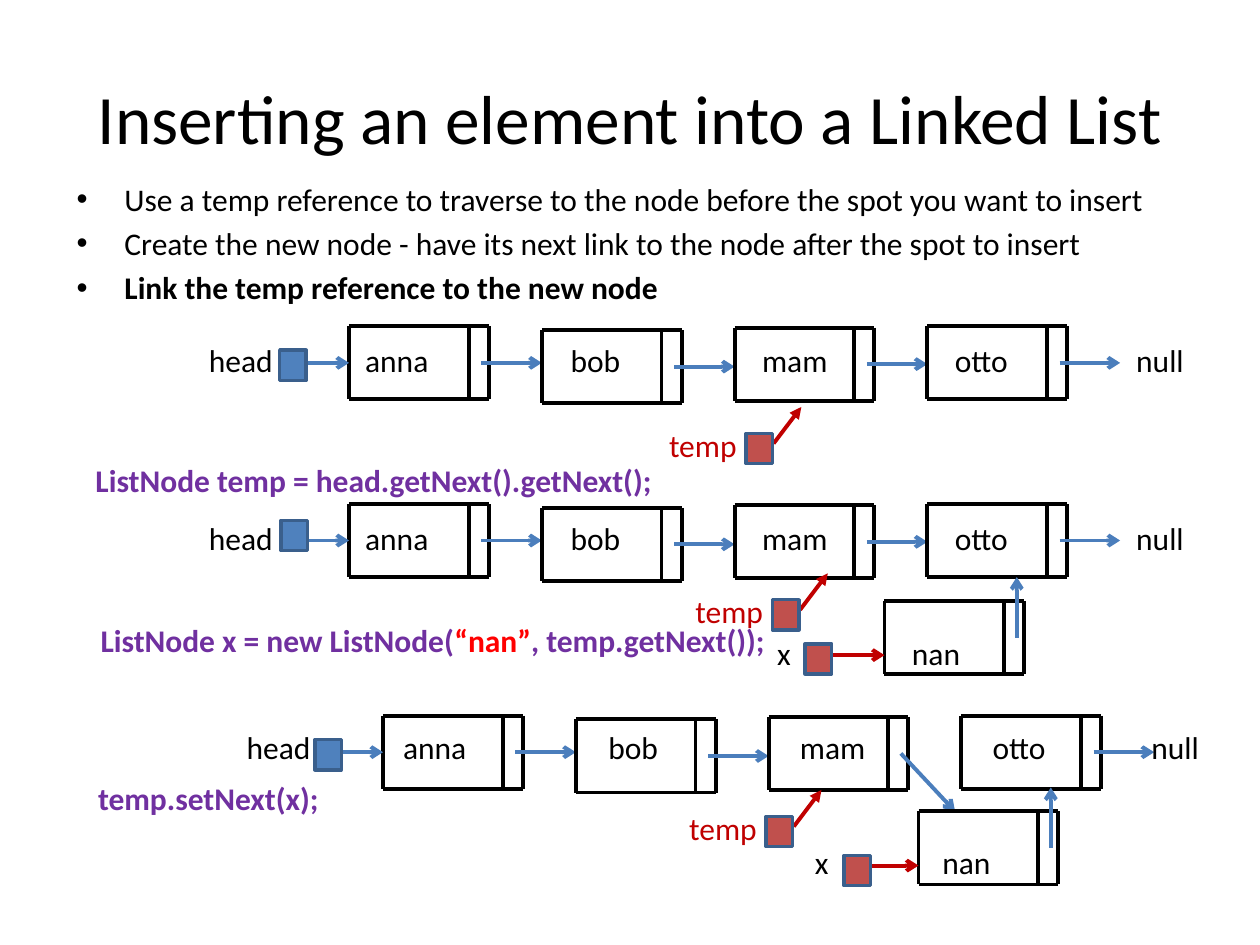
from lxml.etree import SubElement
from pptx import Presentation
from pptx.dml.color import RGBColor
from pptx.enum.shapes import MSO_CONNECTOR, MSO_SHAPE
from pptx.enum.text import MSO_ANCHOR, PP_ALIGN
from pptx.oxml.ns import qn
from pptx.util import Inches, Pt

COLORS = {
    "black": "000000", "link": "4B7EBC", "red": "C00000", "code": "7030A0",
    "string": "FF0000", "head": "4F81BD", "temp": "C0504D", "border": "3A5F8C",
}
COLORS = {name: RGBColor.from_string(value) for name, value in COLORS.items()}
FONT = "Calibri"

# List grid: node columns repeat at one pitch, each node has a value and a link cell
FIRST_LEFT, PITCH = 2.77, 1.53
NODE_WIDTH, NODE_HEIGHT, VALUE_WIDTH = 1.11, 0.58, 0.95
LINK_START, LINK_LENGTH = 1.05, 0.48
MIDDLE = NODE_HEIGHT / 2
SQUARE_WIDTH, SQUARE_HEIGHT = 0.21, 0.24
LABEL_HEIGHT = 0.4

NODE_DROPS = {"anna": 0, "bob": 0.03, "mam": 0.01, "otto": 0}
VALUE_TABS = [1.24, 2.87, 4.39, 5.92]

ROWS = [
    {"top": 2.59, "shift": 0, "head": (2.22, 2.78), "text": (1.56, 2.66, 8.36, 1.01),
     "null_tab": 7.36, "temp": (5.92, 3.44)},
    {"top": 4.00, "shift": 0, "head": (2.23, 4.13), "text": (1.56, 4.07, 8.36, 1.31),
     "null_tab": 7.36, "temp": (6.13, 4.76), "x": (6.39, 5.11), "nan": (7.02, 4.77),
     "nan_tabs": [4.51, 5.58]},
    {"top": 5.68, "shift": 0.27, "head": (2.50, 5.87), "text": (1.86, 5.73, 8.48, 1.31),
     "null_tab": 7.18, "temp": (6.08, 6.48), "x": (6.70, 6.79), "nan": (7.29, 6.44),
     "nan_tabs": [4.51, 5.52], "mam_link": (7.58, 6.44)},
]

CODE = [
    (0.66, 3.61, 4.66, [("ListNode temp = head.getNext().getNext();", "code")]),
    (0.70, 4.88, 5.50, [("ListNode x = new ListNode(", "code"), ("“nan”", "string"),
                        (", temp.getNext());", "code")]),
    (0.68, 6.13, 1.97, [("temp.setNext(x);", "code")]),
]

BULLETS = [
    "Use a temp reference to traverse to the node before the spot you want to insert",
    "Create the new node - have its next link to the node after the spot to insert",
    "Link the temp reference to the new node",
]

presentation = Presentation()
presentation.slide_width, presentation.slide_height = Inches(10), Inches(7.5)
slide = presentation.slides.add_slide(presentation.slide_layouts[6])


def add_text(left, top, width, height, paragraphs, size=18, bold=False):
    """Add a text box; each paragraph is a list of (text, colour name) runs."""
    box = slide.shapes.add_textbox(Inches(left), Inches(top), Inches(width), Inches(height))
    frame = box.text_frame
    for index, runs in enumerate(paragraphs):
        paragraph = frame.add_paragraph() if index else frame.paragraphs[0]
        paragraph.font.name, paragraph.font.size, paragraph.font.bold = FONT, Pt(size), bold
        for text, color in runs:
            run = paragraph.add_run()
            run.text = text
            run.font.color.rgb = COLORS[color]
    return frame


def add_line(start, end, color, arrow=None):
    line = slide.shapes.add_connector(
        MSO_CONNECTOR.STRAIGHT, *(Inches(value) for value in (*start, *end)))
    line.line.color.rgb = COLORS[color]
    line.line.width = Pt(2.25)
    properties = line._element.spPr
    if arrow:
        SubElement(properties.find(qn("a:ln")), qn("a:tailEnd"), type=arrow)
    SubElement(properties, qn("a:effectLst"))


title = add_text(0.5, 0.3, 9, 1.25,
                 [[("Inserting an element into a Linked List", "black")]], size=39.6)
title.word_wrap = True
title.vertical_anchor = MSO_ANCHOR.MIDDLE
title.paragraphs[0].alignment = PP_ALIGN.CENTER

body = add_text(0.51, 1.38, 9, 1.33, [[(text, "black")] for text in BULLETS])
body.word_wrap = True
body.paragraphs[-1].font.bold = True
for paragraph in body.paragraphs:
    paragraph.space_before = Pt(3.6)
    properties = paragraph._p.get_or_add_pPr()
    properties.set("marL", str(Inches(0.38)))
    properties.set("indent", str(-Inches(0.38)))
    defaults = properties.find(qn("a:defRPr"))
    defaults.addprevious(SubElement(properties, qn("a:buFont"), typeface="Arial"))
    defaults.addprevious(SubElement(properties, qn("a:buChar"), char="•"))

for left, top, width, runs in CODE:
    add_text(left, top, width, LABEL_HEIGHT, [runs], bold=True)

for row in ROWS:
    top = row["top"]
    first_left = FIRST_LEFT + row["shift"]
    nodes = [(value, first_left + column * PITCH, top + drop)
             for column, (value, drop) in enumerate(NODE_DROPS.items())]
    squares = [(row["head"], "head"), (row["temp"], "temp")]
    text_lines = ["\t".join(["head", *NODE_DROPS, "null"])]
    tab_lists = [[*VALUE_TABS, row["null_tab"]]]
    if "nan" in row:
        nodes.append(("nan", *row["nan"]))
        squares.append((row["x"], "temp"))
        text_lines.append("\tx\tnan")
        tab_lists.append(row["nan_tabs"])

    for value, left, node_top in nodes:
        right, bottom = left + NODE_WIDTH, node_top + NODE_HEIGHT
        for side in (node_top, bottom):
            add_line((left, side), (right, side), "black")
        for side in (left, left + VALUE_WIDTH, right):
            add_line((side, node_top), (side, bottom), "black")

        start = (left + LINK_START, node_top + MIDDLE)
        end = (start[0] + LINK_LENGTH, start[1])
        if value == "nan":
            end = (start[0], node_top - 0.19)
        elif value == "mam":
            end = row.get("mam_link", end)
        add_line(start, end, "link", "arrow")

    add_line((first_left - LINK_LENGTH, top + MIDDLE), (first_left, top + MIDDLE),
             "link", "arrow")
    temp_left, temp_top = row["temp"]
    add_line((temp_left + 0.22, temp_top + 0.08), (temp_left + 0.44, temp_top - 0.21),
             "red", "triangle")
    if "nan" in row:
        left, node_top = row["nan"]
        add_line((left - 0.41, node_top + 0.43), (left, node_top + 0.43), "red", "arrow")

    values = add_text(*row["text"], [[(text, "black")] for text in text_lines])
    values.word_wrap = True
    for paragraph, tabs in zip(values.paragraphs, tab_lists):
        properties = paragraph._p.get_or_add_pPr()
        tab_list = SubElement(properties, qn("a:tabLst"))
        for tab in tabs:
            SubElement(tab_list, qn("a:tab"), pos=str(Inches(tab)), algn="l")
        properties.find(qn("a:defRPr")).addprevious(tab_list)
    if "nan" in row:
        values.paragraphs[-1].space_before = Pt(44)

    temp_label = add_text(temp_left - 0.77, temp_top - 0.11, 1.05, LABEL_HEIGHT,
                          [[("temp", "red")]])
    temp_label.word_wrap = True
    temp_label.margin_left = Inches(0.16)

    for (left, square_top), color in squares:
        square = slide.shapes.add_shape(MSO_SHAPE.RECTANGLE, Inches(left), Inches(square_top),
                                        Inches(SQUARE_WIDTH), Inches(SQUARE_HEIGHT))
        square.shadow.inherit = False
        square.fill.solid()
        square.fill.fore_color.rgb = COLORS[color]
        square.line.color.rgb = COLORS["border"]
        square.line.width = Pt(2)

presentation.save("out.pptx")
